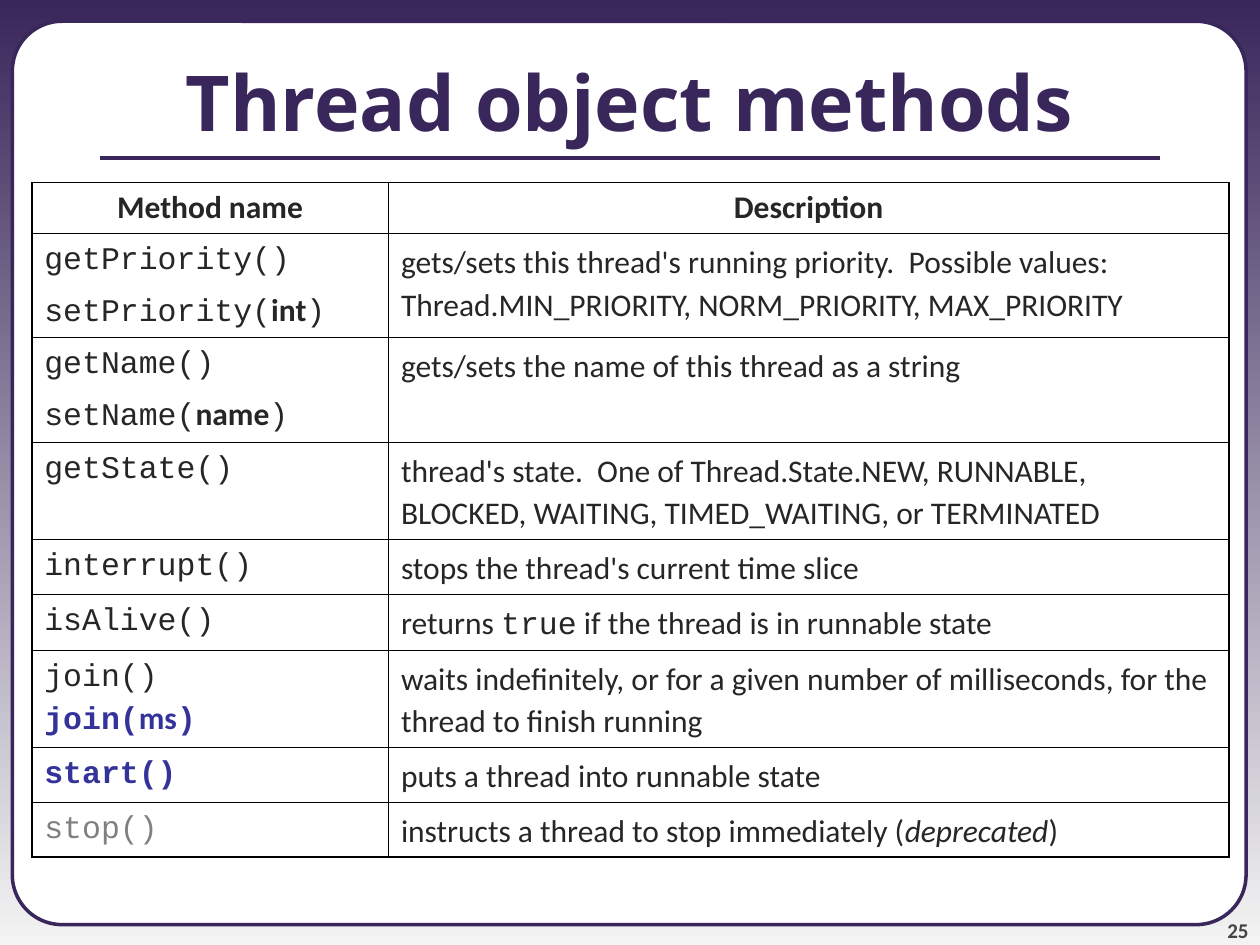
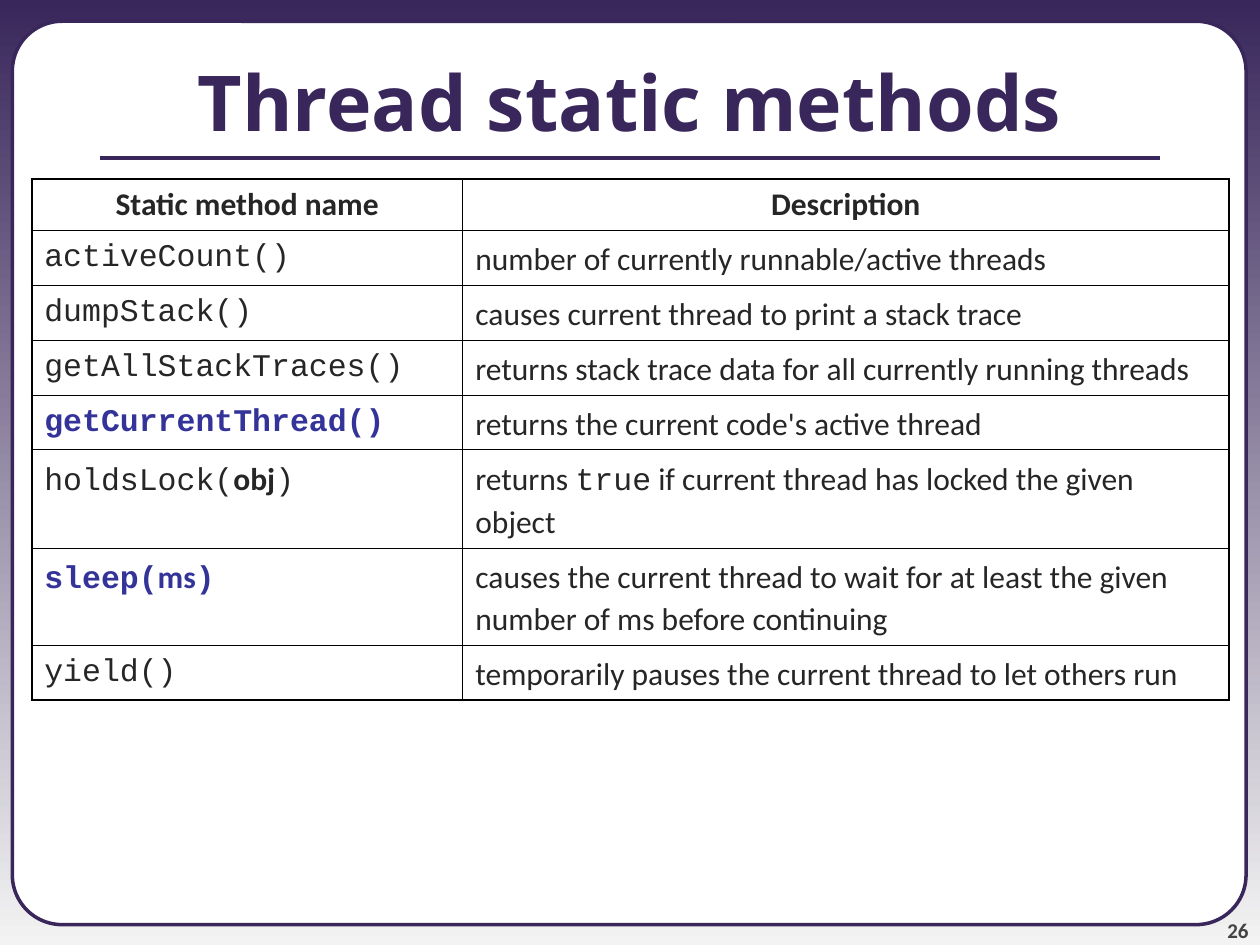
from dataclasses import dataclass
from typing import NamedTuple

from lxml import etree
from pptx import Presentation
from pptx.dml.color import RGBColor
from pptx.enum.shapes import MSO_CONNECTOR, MSO_SHAPE
from pptx.enum.text import MSO_ANCHOR, PP_ALIGN
from pptx.oxml.ns import qn
from pptx.util import Cm, Pt

ROUNDED = MSO_SHAPE.ROUNDED_RECTANGLE
STRAIGHT = MSO_CONNECTOR.STRAIGHT
MIDDLE, BOTTOM = MSO_ANCHOR.MIDDLE, MSO_ANCHOR.BOTTOM
LEFT, CENTER, RIGHT = PP_ALIGN.LEFT, PP_ALIGN.CENTER, PP_ALIGN.RIGHT

PURPLE = RGBColor(0x39, 0x27, 0x5B)
MIST = RGBColor(0xF3, 0xF3, 0xF3)
WHITE = RGBColor(0xFF, 0xFF, 0xFF)
INK = RGBColor(0x26, 0x26, 0x26)
SLATE = RGBColor(0x42, 0x42, 0x42)
BLUE = RGBColor(0x33, 0x33, 0x99)
GRAY = RGBColor(0x80, 0x80, 0x80)
BLACK = RGBColor(0x00, 0x00, 0x00)

TITLE_FACE, BODY_FACE, CODE_FACE = "Open Sans", "Calibri", "Courier New"

PAGE_WIDTH, PAGE_HEIGHT = Cm(25.4), Cm(19.05)
TABLE_LEFT, TABLE_WIDTH = Cm(0.64), Cm(24.13)
HEADER_ROW, ONE_LINE, TWO_LINES, TWO_PARAS = Cm(1.02), Cm(1.1), Cm(1.94), Cm(2.1)
OUTER_BORDER, INNER_BORDER = Pt(1.08), Pt(0.45)


class Span(NamedTuple):
    text: str
    face: str = BODY_FACE
    color: RGBColor = INK
    bold: bool = False
    italic: bool = False


Line = tuple[Span, ...]


@dataclass(frozen=True)
class Method:
    names: tuple[Line, ...]
    description: Line
    height: int = ONE_LINE


@dataclass(frozen=True)
class MethodPage:
    number: int
    title: str
    name_heading: str
    table_top: int
    name_width: int
    methods: tuple[Method, ...]


def code(text: str) -> Span:
    return Span(text, CODE_FACE)


def key_code(text: str) -> Span:
    return Span(text, CODE_FACE, BLUE, True)


def call(name: str, argument: str = "") -> Line:
    if not argument:
        return (code(f"{name}()"),)
    return code(f"{name}("), Span(argument, bold=True), code(")")


def key_call(name: str, argument: str = "") -> Line:
    if not argument:
        return (key_code(f"{name}()"),)
    return key_code(f"{name}("), Span(argument, color=BLUE, bold=True), key_code(")")


def plain(text: str) -> Line:
    return (Span(text),)


PAGES = (
    MethodPage(25, "Thread object methods", "Method name", Cm(3.68), Cm(7.19), (
        Method((call("getPriority"), call("setPriority", "int")),
               plain("gets/sets this thread's running priority.  Possible values: "
                     "Thread.MIN_PRIORITY, NORM_PRIORITY, MAX_PRIORITY"), TWO_PARAS),
        Method((call("getName"), call("setName", "name")),
               plain("gets/sets the name of this thread as a string"), TWO_PARAS),
        Method((call("getState"),),
               plain("thread's state.  One of Thread.State.NEW, RUNNABLE, BLOCKED, "
                     "WAITING, TIMED_WAITING, or TERMINATED"), TWO_LINES),
        Method((call("interrupt"),), plain("stops the thread's current time slice")),
        Method((call("isAlive"),),
               (Span("returns "), code("true"),
                Span(" if the thread is in runnable state"))),
        Method(((code("join()\n"), *key_call("join", "ms")),),
               plain("waits indefinitely, or for a given number of milliseconds, "
                     "for the thread to finish running"), TWO_LINES),
        Method((key_call("start"),), plain("puts a thread into runnable state")),
        Method(((Span("stop()", CODE_FACE, GRAY),),),
               (Span("instructs a thread to stop immediately ("),
                Span("deprecated", italic=True), Span(")"))),
    )),
    MethodPage(26, "Thread static methods", "Static method name", Cm(3.61), Cm(8.69), (
        Method((call("activeCount"),),
               plain("number of currently runnable/active threads")),
        Method((call("dumpStack"),),
               plain("causes current thread to print a stack trace")),
        Method((call("getAllStackTraces"),),
               plain("returns stack trace data for all currently running threads")),
        Method((key_call("getCurrentThread"),),
               plain("returns the current code's active thread")),
        Method((call("holdsLock", "obj"),),
               (Span("returns "), code("true"),
                Span(" if current thread has locked the given object")), TWO_LINES),
        Method((key_call("sleep", "ms"),),
               plain("causes the current thread to wait for at least the given "
                     "number of ms before continuing"), TWO_LINES),
        Method((call("yield"),),
               plain("temporarily pauses the current thread to let others run")),
    )),
)


def style_font(font, span: Span, size: int) -> None:
    font.name = span.face
    font.size = Pt(size)
    font.bold = span.bold
    font.italic = span.italic
    font.color.rgb = span.color


def write_line(para, line: Line, size: int, align=LEFT) -> None:
    para.alignment = align
    for span in line:
        run = para.add_run()
        run.text = span.text.rstrip("\n")
        if span.text.endswith("\n"):
            para.add_line_break()
        if len(line) > 1:
            style_font(run.font, span, size)
    if len(line) == 1:
        style_font(para.font, line[0], size)


def paint_background(page) -> None:
    fill = page.background.fill
    fill.gradient()
    fill.gradient_angle = 270
    for stop, color in zip(fill.gradient_stops, (PURPLE, MIST)):
        stop.color.rgb = color


def add_frame(page) -> None:
    frame = page.shapes.add_shape(ROUNDED, Cm(0.25), Cm(0.43), Cm(24.87), Cm(18.21))
    frame.adjustments[0] = 0.055
    frame.shadow.inherit = False
    frame.fill.solid()
    frame.fill.fore_color.rgb = WHITE
    frame.line.color.rgb = PURPLE
    frame.line.width = Pt(2)


def add_title_rule(page) -> None:
    rule = page.shapes.add_connector(STRAIGHT, Cm(2.01), Cm(3.18), Cm(23.39), Cm(3.18))
    rule.line.color.rgb = PURPLE
    rule.line.width = Pt(2.25)
    etree.SubElement(rule.element.spPr, qn("a:effectLst"))


def add_page_number(page, number: int) -> None:
    box = page.shapes.add_textbox(Cm(23.06), Cm(17.98), Cm(2.11), Cm(1.02))
    frame = box.text_frame
    frame.word_wrap = True
    frame.vertical_anchor = BOTTOM
    frame.margin_left = frame.margin_right = frame.margin_top = frame.margin_bottom = 0
    para = frame.paragraphs[0]
    para.space_before = Pt(5)
    write_line(para, (Span(str(number), color=SLATE, bold=True),), 12, RIGHT)


def place_title(page, text: str) -> None:
    title = page.shapes.title
    title.left, title.top, title.width, title.height = 0, Cm(0.43), PAGE_WIDTH, Cm(3.18)
    title.text_frame.vertical_anchor = MIDDLE
    write_line(title.text_frame.paragraphs[0],
               (Span(text, TITLE_FACE, PURPLE, True),), 44, CENTER)
    title.element.getparent().append(title.element)


def set_borders(cell, outer_sides: dict[str, bool]) -> None:
    properties = cell._tc.get_or_add_tcPr()
    for index, (side, is_outer) in enumerate(outer_sides.items()):
        width = OUTER_BORDER if is_outer else INNER_BORDER
        border = etree.Element(qn(f"a:ln{side}"), w=str(int(width)))
        fill = etree.SubElement(border, qn("a:solidFill"))
        etree.SubElement(fill, qn("a:srgbClr"), val=str(BLACK))
        properties.insert(index, border)


def fill_cell(cell, lines: tuple[Line, ...], is_header: bool) -> None:
    cell.fill.background()
    frame = cell.text_frame
    for index, line in enumerate(lines):
        para = frame.add_paragraph() if index else frame.paragraphs[0]
        para.space_before = Pt(4.5)
        if not is_header:
            para.line_spacing = 1.1
        write_line(para, line, 18, CENTER if is_header else LEFT)


def add_method_table(page, content: MethodPage) -> None:
    headings = tuple(((Span(text, bold=True),),)
                     for text in (content.name_heading, "Description"))
    rows = [headings] + [(m.names, (m.description,)) for m in content.methods]
    heights = [HEADER_ROW] + [m.height for m in content.methods]
    table = page.shapes.add_table(len(rows), 2, TABLE_LEFT, content.table_top,
                                  TABLE_WIDTH, sum(heights)).table
    table.first_row = table.horz_banding = False
    table.columns[0].width = content.name_width
    table.columns[1].width = TABLE_WIDTH - content.name_width
    for r, (row, height) in enumerate(zip(rows, heights)):
        table.rows[r].height = height
        for c, lines in enumerate(row):
            cell = table.cell(r, c)
            fill_cell(cell, lines, r == 0)
            set_borders(cell, {"L": c == 0, "R": c == 1,
                               "T": r == 0, "B": r == len(rows) - 1})


def build_page(deck, content: MethodPage) -> None:
    page = deck.slides.add_slide(deck.slide_layouts[5])
    paint_background(page)
    add_frame(page)
    add_page_number(page, content.number)
    add_title_rule(page)
    place_title(page, content.title)
    add_method_table(page, content)


def main() -> None:
    deck = Presentation()
    deck.slide_width, deck.slide_height = PAGE_WIDTH, PAGE_HEIGHT
    for content in PAGES:
        build_page(deck, content)
    deck.save("out.pptx")


if __name__ == "__main__":
    main()
